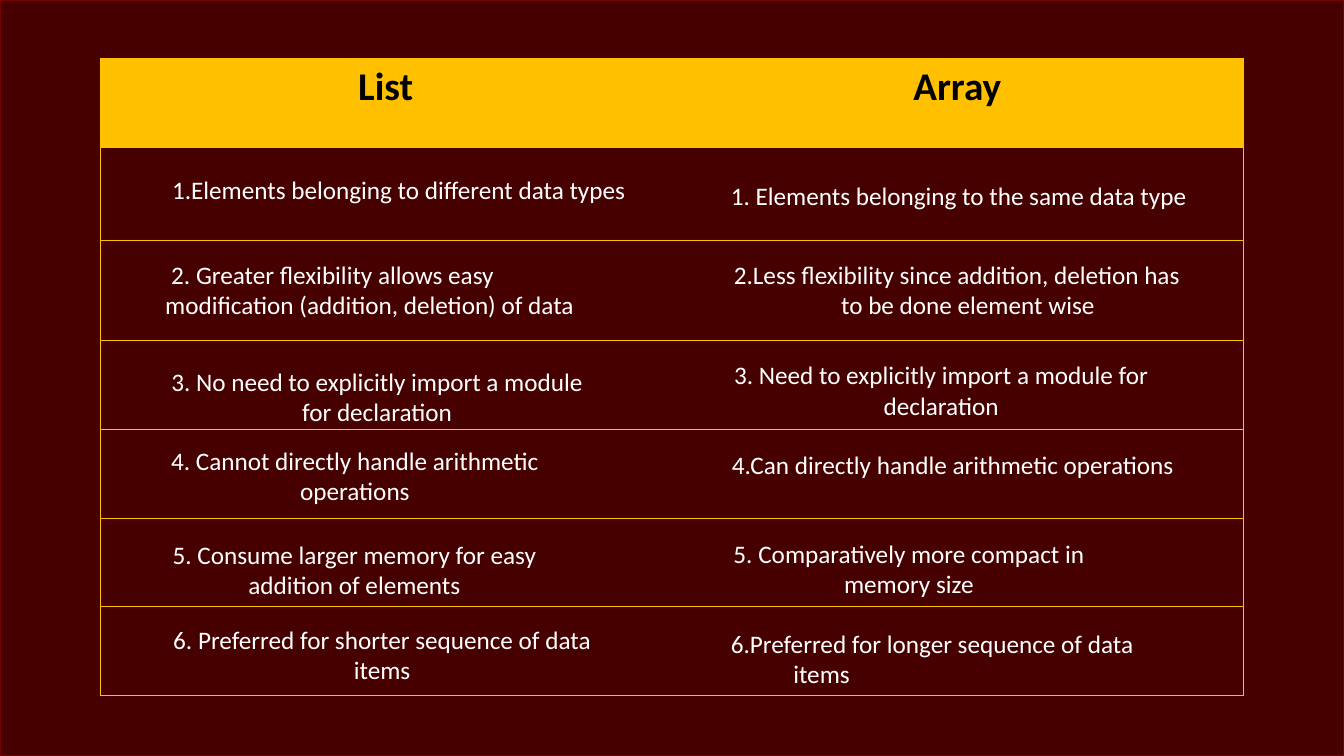
from typing import NamedTuple

from lxml.etree import SubElement
from pptx import Presentation
from pptx.dml.color import RGBColor
from pptx.enum.shapes import MSO_SHAPE
from pptx.enum.text import PP_ALIGN
from pptx.oxml.ns import qn
from pptx.util import Inches, Pt

GOLD, MAROON, EDGE = "FFC000", "470000", "770000"
BLACK, WHITE = "000000", "FFFFFF"
HEADS = ("List", "Array")
ROWS = (0.88, 0.92, 1, 0.88, 0.88, 0.88, 0.88)
HEAD_FONT = {"name": "Calibri", "size": Pt(28), "bold": True}
NOTE_FONT = {"name": "Calibri", "size": Pt(18), "bold": False}


class Note(NamedTuple):
    left: float
    top: float
    width: float
    height: float
    text: str
    align: PP_ALIGN = PP_ALIGN.CENTER
    margin: float = 0
    indent: float = 0


NOTES = (
    Note(1.45, 1.68, 5.01, 0.4, "1.Elements belonging to different data types"),
    Note(7.15, 1.74, 4.78, 0.71, "1. Elements belonging to the same data type", PP_ALIGN.LEFT),
    Note(1.54, 2.52, 4.46, 1.01,
         "2. Greater flexibility allows easy modification (addition, deletion) of data",
         PP_ALIGN.LEFT, 0, 0.06),
    Note(7.14, 2.52, 4.7, 1.01,
         "2.Less flexibility since addition, deletion has to be done element wise",
         PP_ALIGN.CENTER, 0.22, -0.22),
    Note(1.57, 3.58, 4.34, 0.71, "3. No need to explicitly import a module for declaration"),
    Note(7.16, 3.52, 4.35, 0.71, "3. Need to explicitly import a module for declaration"),
    Note(1.45, 4.37, 4.14, 1.01, "4. Cannot directly handle arithmetic operations"),
    Note(7.1, 4.41, 4.7, 0.71, "4.Can directly handle arithmetic operations"),
    Note(1.54, 5.3, 3.95, 0.71, "5. Consume larger memory for easy addition of elements"),
    Note(6.83, 5.29, 4.37, 0.71, "5. Comparatively more compact in memory size"),
    Note(1.58, 6.14, 4.42, 0.71, "6. Preferred for shorter sequence of data items"),
    Note(7.15, 6.18, 4.36, 0.71, "6.Preferred for longer sequence of data items",
         PP_ALIGN.LEFT, 0.62, -0.62),
)


def paint(color, value: str) -> None:
    color.rgb = RGBColor.from_string(value)


def style(font, form: dict, color: str) -> None:
    for name, value in form.items():
        setattr(font, name, value)
    paint(font.color, color)


def add_back(slide, width: int, height: int) -> None:
    back = slide.shapes.add_shape(MSO_SHAPE.RECTANGLE, 0, 0, width, height)
    back.shadow.inherit = False
    back.fill.solid()
    paint(back.fill.fore_color, MAROON)
    paint(back.line.color, EDGE)
    back.line.width = Pt(1)


def add_edges(cell, inner: str) -> None:
    """Rule a cell in gold on every side but the inner one."""
    props = cell._tc.get_or_add_tcPr()
    for side in "LRTB":
        line = SubElement(props, qn(f"a:ln{side}"), w=str(Pt(0.5)))
        if side == inner:
            SubElement(line, qn("a:noFill"))
        else:
            fill = SubElement(line, qn("a:solidFill"))
            SubElement(fill, qn("a:srgbClr"), val=GOLD)


def add_grid(slide) -> None:
    frame = slide.shapes.add_table(len(ROWS), len(HEADS), Inches(0.99), Inches(0.58),
                                   Inches(11.34), Inches(sum(ROWS)))
    table = frame.table
    table.first_row = table.horz_banding = False
    for row, height in zip(table.rows, ROWS):
        row.height = Inches(height)
        for cell, inner in zip(row.cells, "RL"):
            add_edges(cell, inner)
            cell.fill.background()
    for cell, head in zip(table.rows[0].cells, HEADS):
        cell.fill.solid()
        paint(cell.fill.fore_color, GOLD)
        cell.text = head
        para = cell.text_frame.paragraphs[0]
        para.alignment = PP_ALIGN.CENTER
        style(para.runs[0].font, HEAD_FONT, BLACK)


def add_note(slide, note: Note) -> None:
    box = slide.shapes.add_textbox(*map(Inches, note[:4]))
    box.text_frame.word_wrap = True
    para = box.text_frame.paragraphs[0]
    para.alignment = note.align
    props = para._p.get_or_add_pPr()
    props.set("marL", str(Inches(note.margin)))
    props.set("indent", str(Inches(note.indent)))
    run = para.add_run()
    run.text = note.text
    style(run.font, NOTE_FONT, WHITE)


def main() -> None:
    deck = Presentation()
    deck.slide_width, deck.slide_height = Inches(13.33), Inches(7.5)
    slide = deck.slides.add_slide(deck.slide_layouts[6])
    add_back(slide, deck.slide_width, deck.slide_height)
    add_grid(slide)
    for note in NOTES:
        add_note(slide, note)
    deck.save("out.pptx")


if __name__ == "__main__":
    main()
